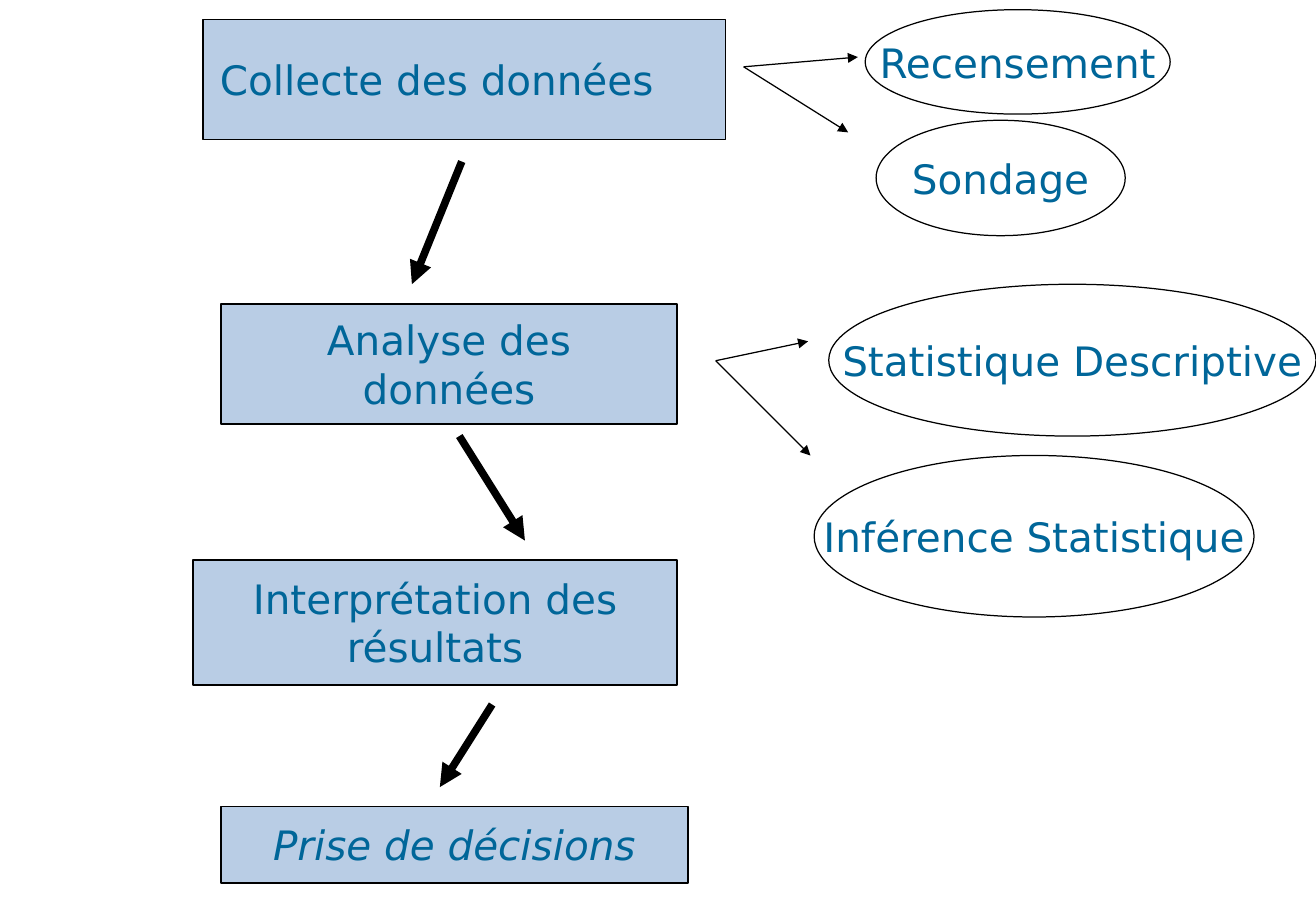
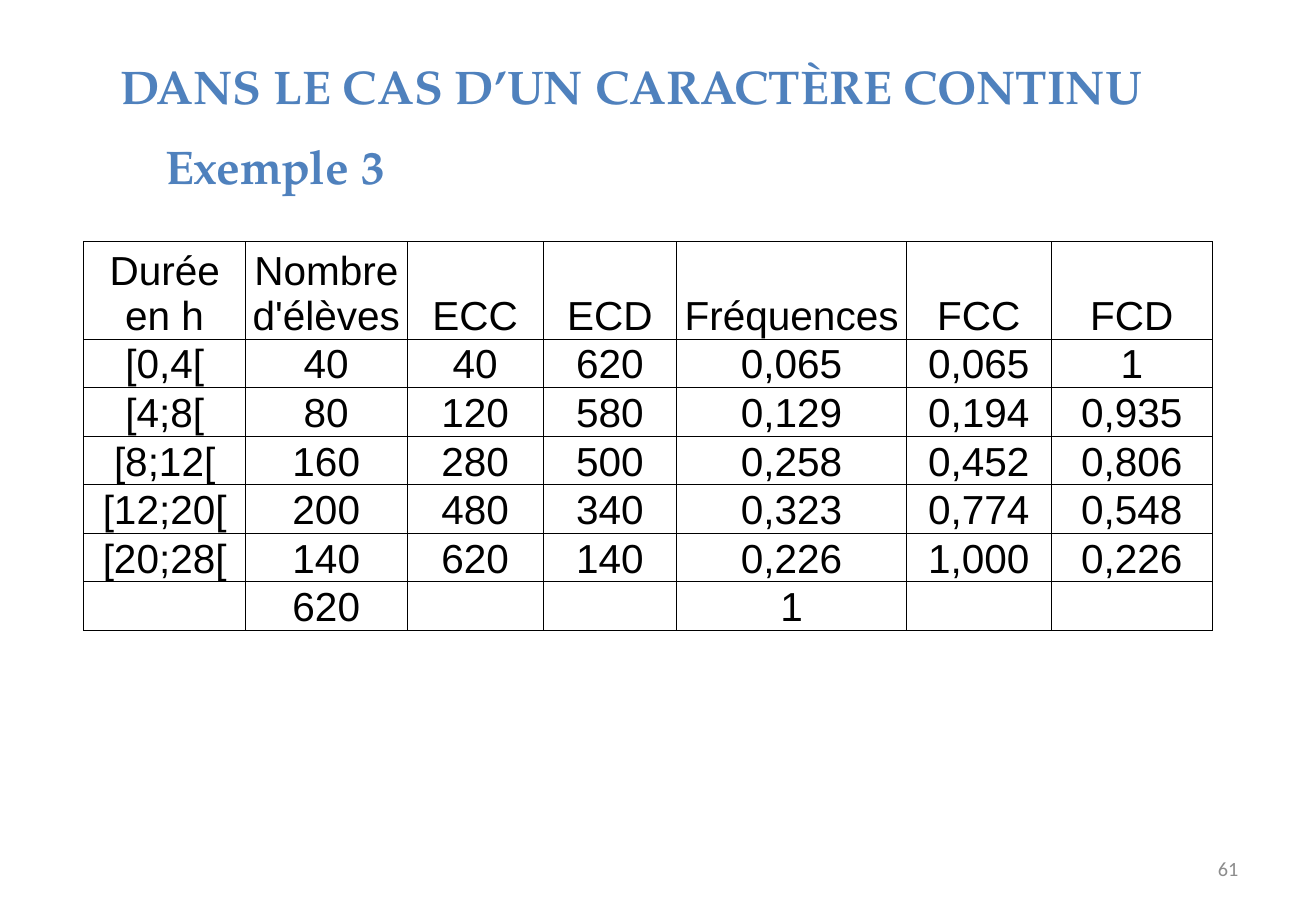
from lxml.etree import SubElement
from pptx import Presentation
from pptx.dml.color import RGBColor
from pptx.enum.shapes import MSO_CONNECTOR, MSO_SHAPE
from pptx.enum.text import MSO_ANCHOR, MSO_AUTO_SIZE, PP_ALIGN
from pptx.oxml import parse_xml
from pptx.oxml.ns import nsdecls, qn
from pptx.util import Pt

PX = 9144  # 100 px to the inch
BLACK, TEAL, PALE_BLUE, TITLE_BLUE, GREY = "000000", "006699", "B9CDE5", "4F81BD", "8C8C8C"
DIAGRAM_FONT = dict(font="DejaVu Sans", size=24, color=TEAL)
HEADING_FONT = dict(font="TeX Gyre Pagella", size=28, color=TITLE_BLUE, bold=True)


def rgb(code):
    return RGBColor.from_string(code)


def write(frame, text, font, size, color, bold=False, italic=False,
          align=PP_ALIGN.CENTER, anchor=MSO_ANCHOR.TOP, wrap=True, inset=(10, 5), spacing=1.0):
    frame.auto_size = MSO_AUTO_SIZE.NONE
    frame.word_wrap = wrap
    frame.vertical_anchor = anchor
    frame.margin_left = frame.margin_right = inset[0] * PX
    frame.margin_top = frame.margin_bottom = inset[1] * PX
    paragraph = frame.paragraphs[0]
    paragraph.alignment = align
    paragraph.line_spacing = spacing
    run = paragraph.add_run()
    run.text = text
    run.font.name, run.font.size = font, Pt(size)
    run.font.bold, run.font.italic = bold, italic
    run.font.color.rgb = rgb(color)


prs = Presentation()
prs.slide_width, prs.slide_height = 1083 * PX, 750 * PX

# Slide 1: steps of a statistical study
study = prs.slides.add_slide(prs.slide_layouts[6])

# Methods in ellipses, steps in filled rectangles
methods = [
    ("Sondage", (721, 99, 205, 95)),
    ("Recensement", (712, 8, 251, 86)),
    ("Statistique Descriptive", (682, 234, 401, 125)),
    ("Inférence Statistique", (670, 375, 362, 133)),
]
steps = [
    ("Collecte des données", (167, 16, 430, 99), dict(align=PP_ALIGN.LEFT)),
    ("Analyse des données", (182, 250, 375, 99), {}),
    ("Interprétation des résultats", (159, 461, 398, 103), {}),
    ("Prise de décisions", (182, 664, 384, 63), dict(italic=True)),
]
nodes = [(MSO_SHAPE.OVAL, None, 0.75, label, box, dict(wrap=False)) for label, box in methods]
nodes += [(MSO_SHAPE.RECTANGLE, PALE_BLUE, 1, label, box, dict(inset=(14, 3), **extra))
          for label, box, extra in steps]
for outline, fill, weight, label, box, extra in nodes:
    node = study.shapes.add_shape(outline, *[n * PX for n in box])
    node.shadow.inherit = False
    if fill:
        node.fill.solid()
        node.fill.fore_color.rgb = rgb(fill)
    else:
        node.fill.background()
    node.line.color.rgb = rgb(BLACK)
    node.line.width = Pt(weight)
    write(node.text_frame, label, anchor=MSO_ANCHOR.MIDDLE, **DIAGRAM_FONT, **extra)

# Thin arrows lead to the methods, thick ones to the next step
arrows = {
    0.75: [(612, 55, 706, 47), (612, 55, 698, 109), (589, 297, 665, 281), (589, 297, 667, 375)],
    4.5: [(380, 133, 339, 234), (378, 359, 432, 445), (405, 580, 362, 648)],
}
for weight, routes in arrows.items():
    for route in routes:
        arrow = study.shapes.add_connector(MSO_CONNECTOR.STRAIGHT, *[n * PX for n in route])
        arrow.line.color.rgb = rgb(BLACK)
        arrow.line.width = Pt(weight)
        SubElement(arrow.line._get_or_add_ln(), qn("a:tailEnd"), type="triangle")
        SubElement(arrow._element.spPr, qn("a:effectLst"))

# Slide 2: cumulative counts and frequencies
example = prs.slides.add_slide(prs.slide_layouts[5])
title = example.shapes.title
title.left, title.top, title.width, title.height = [n * PX for n in (82, 47, 875, 53)]
write(title.text_frame, "DANS LE CAS D’UN CARACTÈRE CONTINU", wrap=False, spacing=0.9, **HEADING_FONT)

subtitle = example.shapes.add_textbox(*[n * PX for n in (126, 108, 205, 57)])
write(subtitle.text_frame, "Exemple 3", align=PP_ALIGN.LEFT, wrap=False, **HEADING_FONT)

page_number = example.shapes.add_textbox(*[n * PX for n in (776, 695, 253, 40)])
write(page_number.text_frame, "61", font="Calibri", size=12, color=GREY,
      align=PP_ALIGN.RIGHT, anchor=MSO_ANCHOR.MIDDLE)

# Table of durations
rows = [
    ("Durée en h", "Nombre d'élèves", "ECC", "ECD", "Fréquences", "FCC", "FCD"),
    ("[0,4[", "40", "40", "620", "0,065", "0,065", "1"),
    ("[4;8[", "80", "120", "580", "0,129", "0,194", "0,935"),
    ("[8;12[", "160", "280", "500", "0,258", "0,452", "0,806"),
    ("[12;20[", "200", "480", "340", "0,323", "0,774", "0,548"),
    ("[20;28[", "140", "620", "140", "0,226", "1,000", "0,226"),
    ("", "620", "", "", "1", "", ""),
]
widths = [133, 133, 112, 110, 189, 119, 133]
heights = [80] + [40] * 6
durations = example.shapes.add_table(
    len(rows), len(widths), 69 * PX, 199 * PX, sum(widths) * PX, sum(heights) * PX).table
durations.first_row = durations.horz_banding = False
for column, width in zip(durations.columns, widths):
    column.width = width * PX
for row, height in zip(durations.rows, heights):
    row.height = height * PX

for r, values in enumerate(rows):
    for c, value in enumerate(values):
        cell = durations.cell(r, c)
        cell.fill.background()
        cell.vertical_anchor = MSO_ANCHOR.BOTTOM
        cell.margin_left = cell.margin_right = cell.margin_top = cell.margin_bottom = 0
        if value:
            paragraph_frame = cell.text_frame
            write(paragraph_frame, value, font="Arial", size=24, color=BLACK)
        for position, side in enumerate("LRTB"):
            border = parse_xml(
                f'<a:ln{side} {nsdecls("a")} w="{Pt(0.5)}"><a:solidFill>'
                f'<a:srgbClr val="{BLACK}"/></a:solidFill></a:ln{side}>')
            cell._tc.get_or_add_tcPr().insert(position, border)

prs.save("out.pptx")
